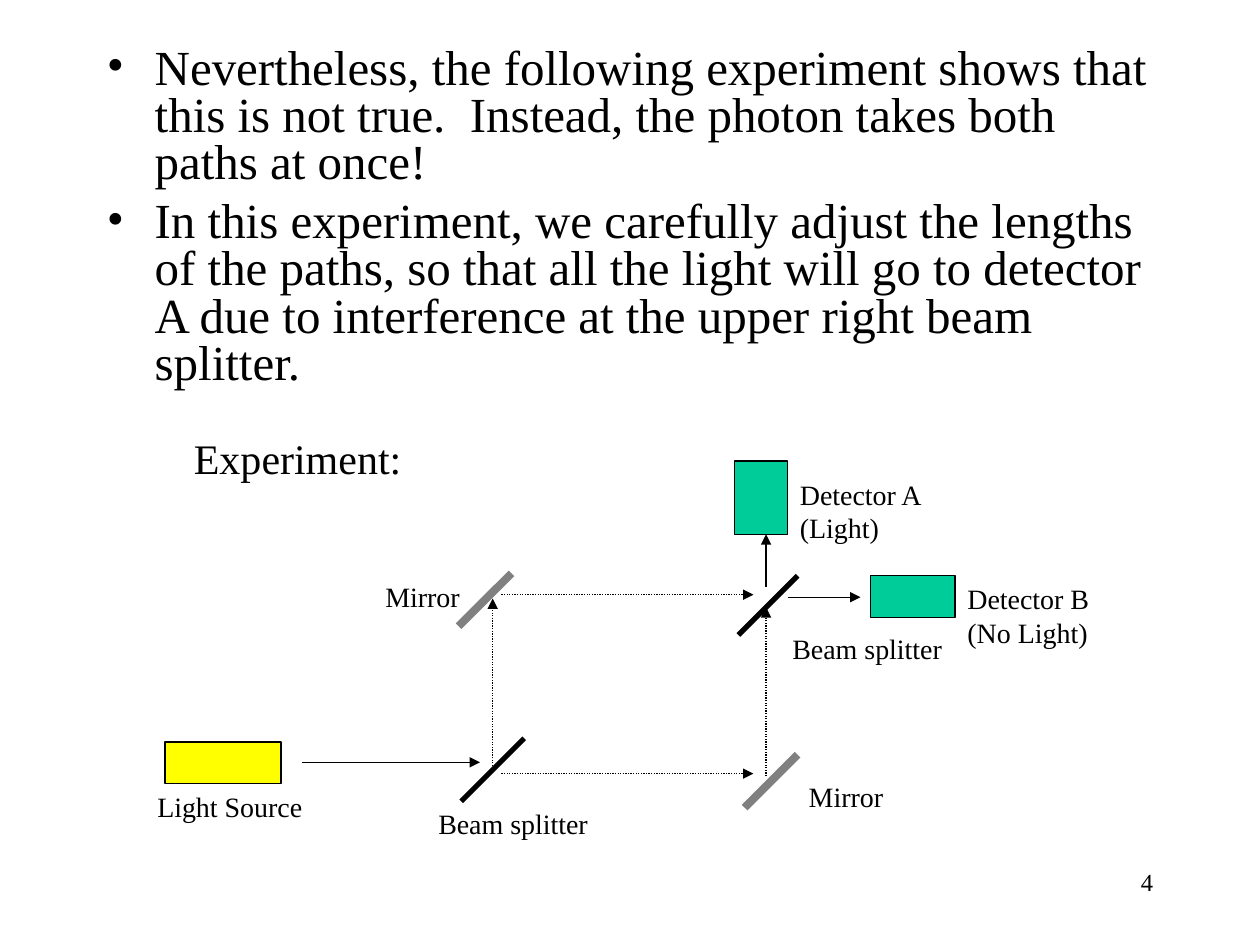
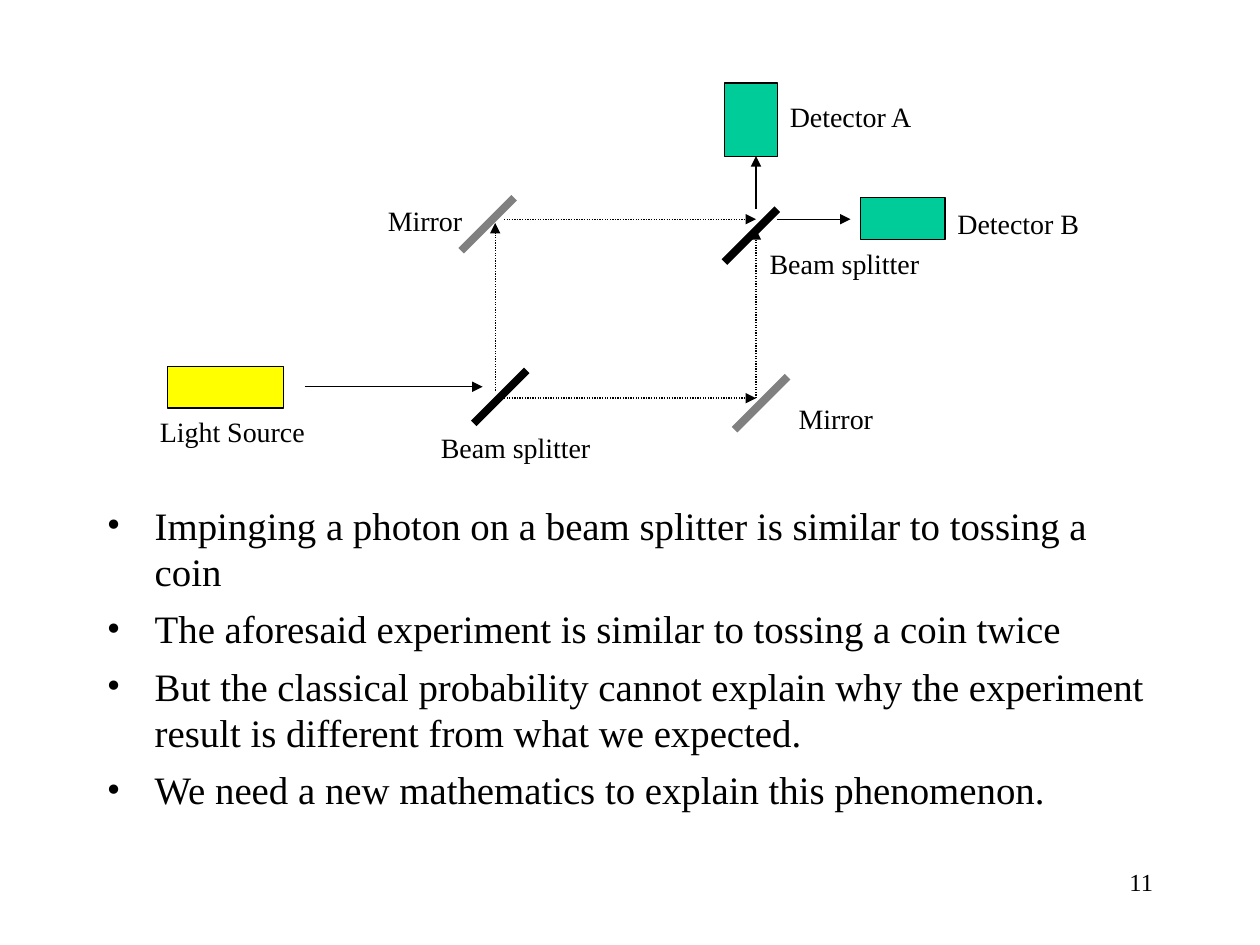
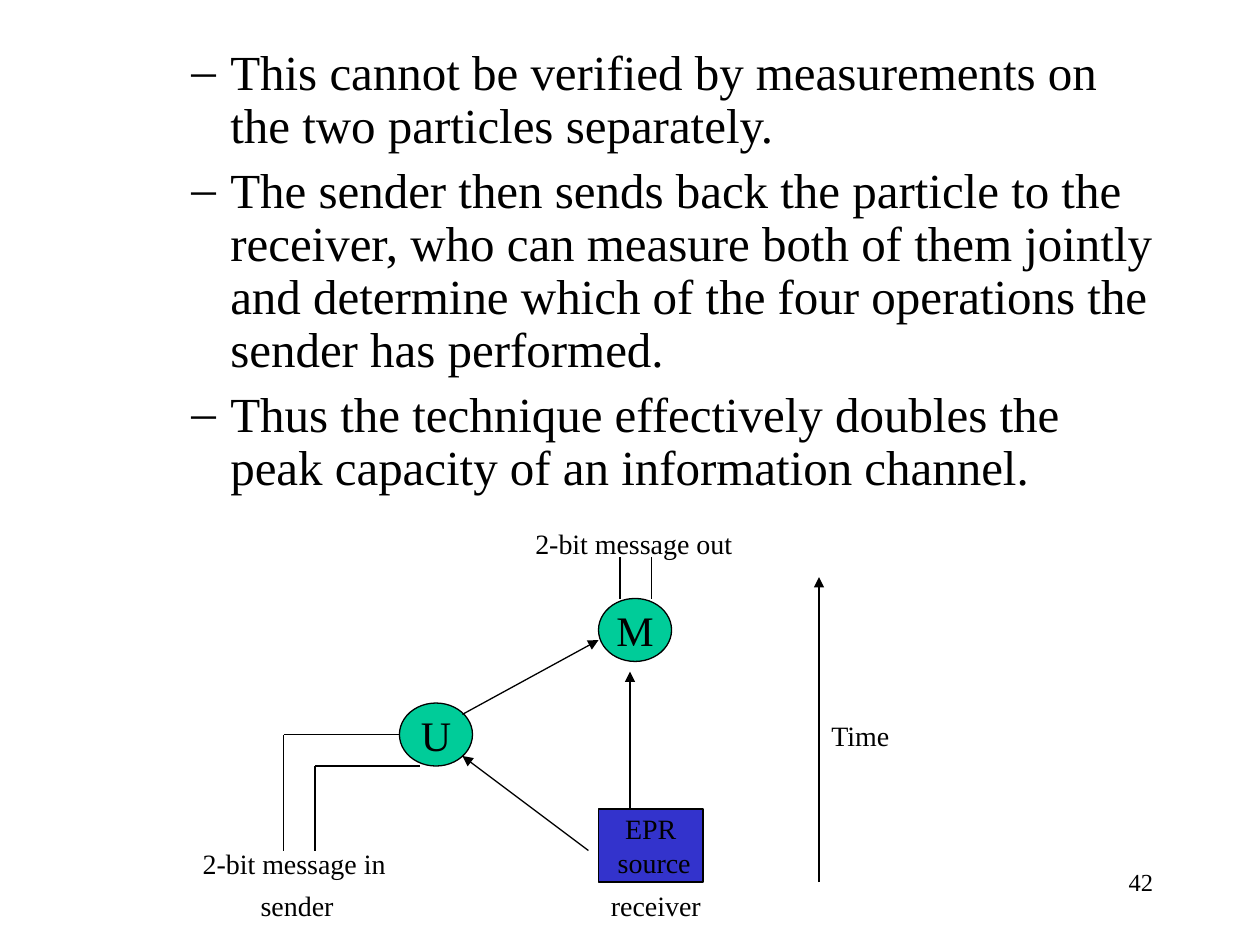
"""Build three slides on photon interference and two-bit messages."""
from dataclasses import dataclass

from lxml import etree
from pptx import Presentation
from pptx.dml.color import RGBColor
from pptx.enum import dml, shapes, text
from pptx.oxml import ns
from pptx.util import Inches, Pt


@dataclass(frozen=True)
class Theme:
    """Colours, font and type sizes shared by all slides."""
    ink: RGBColor = RGBColor(0x00, 0x00, 0x00)
    green: RGBColor = RGBColor(0x00, 0xCC, 0x99)
    yellow: RGBColor = RGBColor(0xFF, 0xFF, 0x00)
    blue: RGBColor = RGBColor(0x33, 0x33, 0xCC)
    grey: RGBColor = RGBColor(0x80, 0x80, 0x80)
    font: str = "Times New Roman"
    number: float = 14
    label: float = 16
    heading: float = 24
    body: float = 28
    small_body: float = 22.2
    thin: float = 0.75
    thick: float = 4.5


T = Theme()
RECT = shapes.MSO_SHAPE.RECTANGLE
OVAL = shapes.MSO_SHAPE.OVAL
LEFT, CENTER, RIGHT = text.PP_ALIGN.LEFT, text.PP_ALIGN.CENTER, text.PP_ALIGN.RIGHT


def style(p, size, align=LEFT):
    """Apply the theme font to a paragraph."""
    p.alignment = align
    p.font.name = T.font
    p.font.size = Pt(size)
    p.font.color.rgb = T.ink


def write(tf, content, size, align=LEFT, wrap=False):
    """Write each line of the content as a paragraph."""
    tf.word_wrap = wrap
    for i, line_text in enumerate(content.split("\n")):
        p = tf.paragraphs[0] if i == 0 else tf.add_paragraph()
        p.text = line_text
        style(p, size, align)


def label(s, x, y, w, content, size=T.label, h=0.37):
    """Add a caption whose box grows with its text."""
    tf = s.shapes.add_textbox(Inches(x), Inches(y), Inches(w), Inches(h)).text_frame
    write(tf, content, size)
    tf.auto_size = text.MSO_AUTO_SIZE.SHAPE_TO_FIT_TEXT


def box(s, kind, x, y, w, h, fill, content="", size=T.label):
    """Add a filled outlined shape with optional centred text."""
    sp = s.shapes.add_shape(kind, Inches(x), Inches(y), Inches(w), Inches(h))
    sp.shadow.inherit = False
    sp.fill.solid()
    sp.fill.fore_color.rgb = fill
    sp.line.color.rgb = T.ink
    sp.line.width = Pt(T.thin)
    if content:
        sp.text_frame.vertical_anchor = text.MSO_ANCHOR.MIDDLE
        write(sp.text_frame, content, size, CENTER)


def line(s, x1, y1, x2, y2, color=T.ink, width=T.thin, dotted=False, arrow=False):
    """Add a straight line, optionally dotted or with an arrowhead."""
    cx = s.shapes.add_connector(shapes.MSO_CONNECTOR.STRAIGHT,
                                Inches(x1), Inches(y1), Inches(x2), Inches(y2))
    cx.line.color.rgb = color
    cx.line.width = Pt(width)
    if dotted:
        cx.line.dash_style = dml.MSO_LINE.ROUND_DOT
    if arrow:
        etree.SubElement(cx.line._get_or_add_ln(), ns.qn("a:tailEnd"), type="triangle")
    etree.SubElement(cx._element.spPr, ns.qn("a:effectLst"))


def bullets(s, x, y, w, h, items, char="•", size=T.body, indent=0.38, hang=0.38,
            spacing=1.0, before=7):
    """Add a bulleted list with hanging indents."""
    tf = s.shapes.add_textbox(Inches(x), Inches(y), Inches(w), Inches(h)).text_frame
    write(tf, "\n".join(items), size, wrap=True)
    for i, p in enumerate(tf.paragraphs):
        pPr = p._p.get_or_add_pPr()
        pPr.set("marL", str(Inches(indent)))
        pPr.set("indent", str(-Inches(hang)))
        for tag, attrs in (("a:buFont", {"typeface": T.font}), ("a:buChar", {"char": char})):
            bullet = etree.Element(ns.qn(tag), attrs)
            pPr.insert_element_before(bullet, "a:tabLst", "a:defRPr", "a:extLst")
        p.line_spacing = spacing
        if i:
            p.space_before = Pt(before)


def new_slide(prs, number):
    """Add a blank slide with its number at the lower right."""
    s = prs.slides.add_slide(prs.slide_layouts[6])
    tf = s.shapes.add_textbox(Inches(7.17), Inches(6.83), Inches(2.08), Inches(0.5)).text_frame
    write(tf, str(number), T.number, RIGHT, wrap=True)
    return s


def interferometer(s, left, right, splitters, splitter_width, splitter_label,
                   note_a="", note_b=""):
    """Draw source, splitters, mirrors and detectors, with offsets for each half."""
    lx, ly = left
    rx, ry = right
    for x1, y1, x2, y2 in ((3.93, 3.1, 3.93, 1.77), (4, 3.16, 6, 3.16), (4, 1.74, 6, 1.74)):
        line(s, x1 + lx, y1 + ly, x2 + lx, y2 + ly, dotted=True, arrow=True)
    line(s, 6 + rx, 3.16 + ry, 6 + rx, 1.82 + ry, dotted=True, arrow=True)
    line(s, 2.42 + lx, 3.07 + ly, 3.83 + lx, 3.07 + ly, arrow=True)
    line(s, 6 + rx, 1.66 + ry, 6 + rx, 1.24 + ry, arrow=True)
    line(s, 6.17 + rx, 1.74 + ry, 6.75 + rx, 1.74 + ry, arrow=True)
    for x, y in ((4.08 + lx, 1.57 + ly), (6.25 + rx, 2.99 + ry)):
        line(s, x, y, x - 0.42, y + 0.42, T.grey, T.thick)
    for x, y, side in splitters:
        line(s, x, y, x - side, y + side, width=splitter_width)
    box(s, RECT, 1.33 + lx, 2.91 + ly, 0.92, 0.33, T.yellow)
    box(s, RECT, 5.75 + rx, 0.66 + ry, 0.42, 0.58, T.green)
    box(s, RECT, 6.83 + rx, 1.57 + ry, 0.67, 0.33, T.green)
    label(s, 1.17 + lx, 3.24 + ly, 1.35, "Light Source")
    label(s, 3.4 + lx, 3.37 + ly, 1.39, "Beam splitter")
    label(s, *splitter_label, 1.39, "Beam splitter")
    label(s, 2.98 + lx, 1.57 + ly, 0.79, "Mirror")
    label(s, 6.24 + rx, 3.14 + ry, 0.79, "Mirror")
    h = 0.64 if note_a else 0.37
    label(s, 6.17 + rx, 0.74 + ry, 1.18, "Detector A" + note_a, h=h)
    label(s, 7.5 + rx, 1.59 + ly, 1.18, "Detector B" + note_b, h=h)


def experiment_slide(prs):
    """Show the experiment in which all light reaches detector A."""
    s = new_slide(prs, 4)
    bullets(s, 0.75, 0.33, 8.5, 4.08, [
        "Nevertheless, the following experiment shows that this is not true.  "
        "Instead, the photon takes both paths at once!",
        "In this experiment, we carefully adjust the lengths of the paths, so that all the "
        "light will go to detector A due to interference at the upper right beam splitter.",
    ], spacing=0.8)
    interferometer(s, (-0.02, 2.98), (0.08, 3), ((4.16, 5.86, 0.5), (6.33, 4.57, 0.47)), 3,
                   (6.19, 4.96), "\n(Light)", "\n(No Light)")
    label(s, 1.44, 3.38, 1.85, "Experiment:", T.heading, 0.5)


def coin_slide(prs):
    """Compare the experiment with tossing a coin."""
    s = new_slide(prs, 11)
    bullets(s, 0.75, 3.93, 8.5, 2.74, [
        "Impinging a photon on a beam splitter is similar to tossing a coin",
        "The aforesaid experiment is similar to tossing a coin twice",
        "But the classical probability cannot explain why the experiment result is "
        "different from what we expected.",
        "We need a new mathematics to explain this phenomenon.",
    ], size=T.small_body, before=6)
    interferometer(s, (0, 0), (0, 0), ((4.18, 2.94, 0.42), (6.17, 1.66, 0.42)), T.thick,
                   (6.01, 1.91))


def message_slide(prs):
    """Show how two bits travel from sender to receiver."""
    s = new_slide(prs, 42)
    bullets(s, 0.92, 0.33, 8.33, 3.75, [
        "This cannot be verified by measurements on the two particles separately.",
        "The sender then sends back the particle to the receiver, who can measure both of "
        "them jointly and determine which of the four operations the sender has performed.",
        "Thus the technique effectively doubles the peak capacity of an information channel.",
    ], char="–", indent=0.81, hang=0.31, spacing=0.9)
    box(s, OVAL, 4.75, 4.75, 0.58, 0.5, T.green, "M", T.heading)
    box(s, OVAL, 3.17, 5.58, 0.58, 0.5, T.green, "U", T.heading)
    box(s, RECT, 4.75, 6.42, 0.83, 0.58, T.blue, "EPR\n source")
    for x, y, end in ((2.25, 5.83, 3.17), (2.5, 6.08, 3.33)):
        line(s, x, 6.75, x, y)
        line(s, x, y, end, y)
    for x in (4.92, 5.17):
        line(s, x, 4.75, x, 4.42)
    for ends in ((3.67, 5.67, 4.75, 5.08), (4.67, 6.75, 3.67, 6),
                 (5, 6.42, 5, 5.33), (6.5, 7, 6.5, 4.58)):
        line(s, *ends, arrow=True)
    for x, y, w, caption in ((1.51, 6.67, 1.65, "2-bit message in"),
                             (4.15, 4.13, 1.78, "2-bit message out"),
                             (6.5, 5.65, 0.67, "Time"),
                             (4.75, 7, 0.93, "receiver"),
                             (1.97, 7, 0.78, "sender")):
        label(s, x, y, w, caption)


def main():
    """Build and save the presentation."""
    prs = Presentation()
    prs.slide_width, prs.slide_height = Inches(10), Inches(7.5)
    experiment_slide(prs)
    coin_slide(prs)
    message_slide(prs)
    prs.save("out.pptx")


if __name__ == "__main__":
    main()
